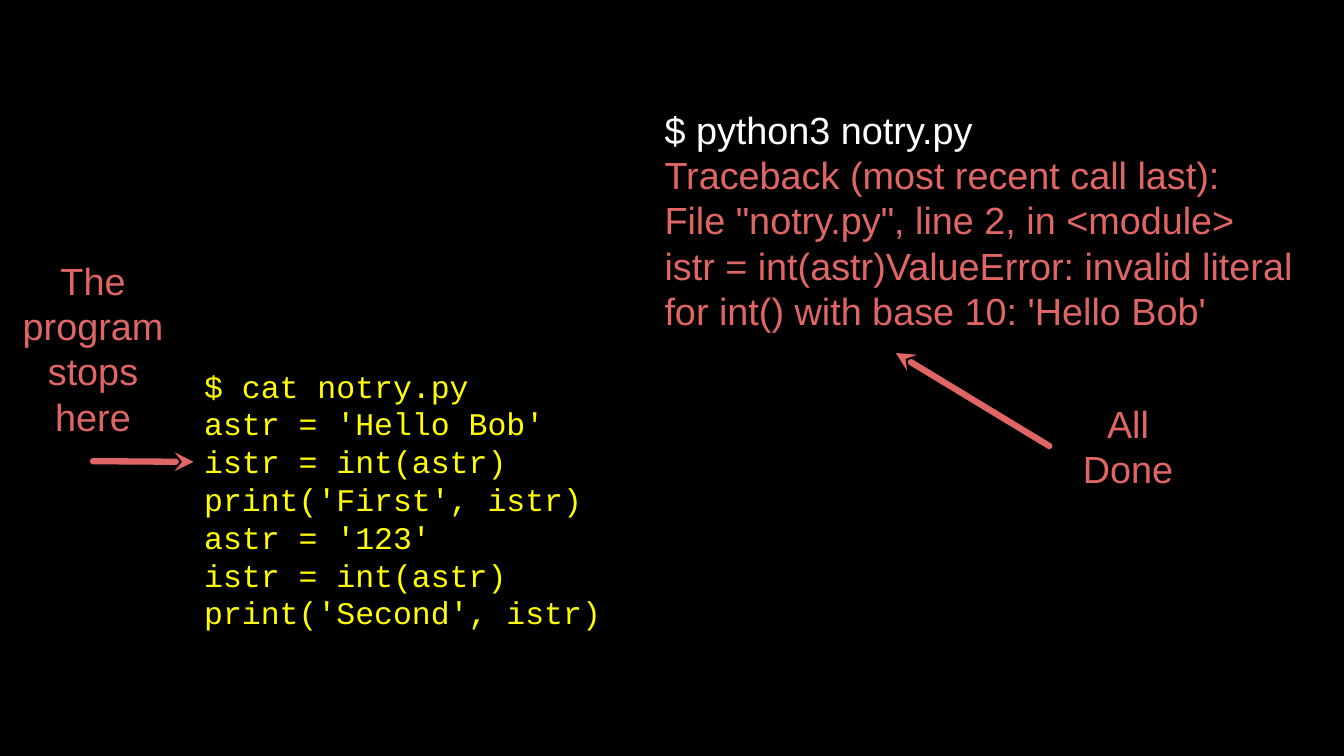
from lxml import etree
from pptx import Presentation
from pptx.dml.color import RGBColor
from pptx.enum import shapes, text
from pptx.oxml.ns import qn
from pptx.util import Pt

BLACK = RGBColor(0x00, 0x00, 0x00)
WHITE = RGBColor(0xFF, 0xFF, 0xFF)
YELLOW = RGBColor(0xFF, 0xFF, 0x00)
CORAL = RGBColor(0xE0, 0x66, 0x66)

PROGRAM = [
    "$ cat notry.py",
    "astr = 'Hello Bob'",
    "istr = int(astr)",
    "print('First', istr)",
    "astr = '123'",
    "istr = int(astr)",
    "print('Second', istr)",
]
COMMAND = "$ python3 notry.py"
TRACEBACK = "\v".join([
    "Traceback (most recent call last):",
    "File \"notry.py\", line 2, in <module>",
    "istr = int(astr)ValueError: invalid literal for int() with base 10: 'Hello Bob'",
])

LEFT, CENTER = text.PP_ALIGN.LEFT, text.PP_ALIGN.CENTER
# (left, top, width, height), font, size, alignment, [(line, colour)]
TEXTS = [
    ((194.4, 322.6, 406, 305.3), "Courier New", 30, LEFT,
     [(line, YELLOW) for line in PROGRAM]),
    ((632.9, 82.1, 603.4, 254.2), "Arial", 36, LEFT,
     [(COMMAND, WHITE), (TRACEBACK, CORAL)]),
    ((999.4, 379.4, 149.8, 90), "Arial", 36, CENTER,
     [("All", CORAL), ("Done", CORAL)]),
    ((13.7, 245.5, 149.8, 172.1), "Arial", 36, CENTER,
     [("The program stops here", CORAL)]),
]
# (tip), (tail)
ARROWS = [
    ((853.2, 336.2), (999.4, 424.8)),
    ((184.3, 439.9), (88.6, 439.2)),
]


def add_text(page, bounds, font, size, align, lines):
    box = page.shapes.add_textbox(*map(Pt, bounds))
    frame = box.text_frame
    frame.word_wrap = True
    frame.vertical_anchor = text.MSO_ANCHOR.MIDDLE
    frame.margin_left = frame.margin_right = 0
    frame.margin_top = frame.margin_bottom = 0
    for index, (line, colour) in enumerate(lines):
        para = frame.add_paragraph() if index else frame.paragraphs[0]
        para.text = line
        para.alignment = align
        para.font.name = font
        para.font.size = Pt(size)
        para.font.color.rgb = colour


def add_arrow(page, tip, tail):
    arrow = page.shapes.add_connector(
        shapes.MSO_CONNECTOR.STRAIGHT, *map(Pt, tip + tail))
    arrow.line.color.rgb = CORAL
    arrow.line.width = Pt(6)
    properties = arrow._element.spPr
    outline = properties.find(qn("a:ln"))
    outline.set("cap", "rnd")
    etree.SubElement(outline, qn("a:headEnd"), type="stealth")
    etree.SubElement(properties, qn("a:effectLst"))


def main():
    deck = Presentation()
    deck.slide_width, deck.slide_height = Pt(1280), Pt(720)
    page = deck.slides.add_slide(deck.slide_layouts[6])
    page.background.fill.solid()
    page.background.fill.fore_color.rgb = BLACK
    for item in TEXTS:
        add_text(page, *item)
    for tip, tail in ARROWS:
        add_arrow(page, tip, tail)
    deck.save("out.pptx")


if __name__ == "__main__":
    main()
